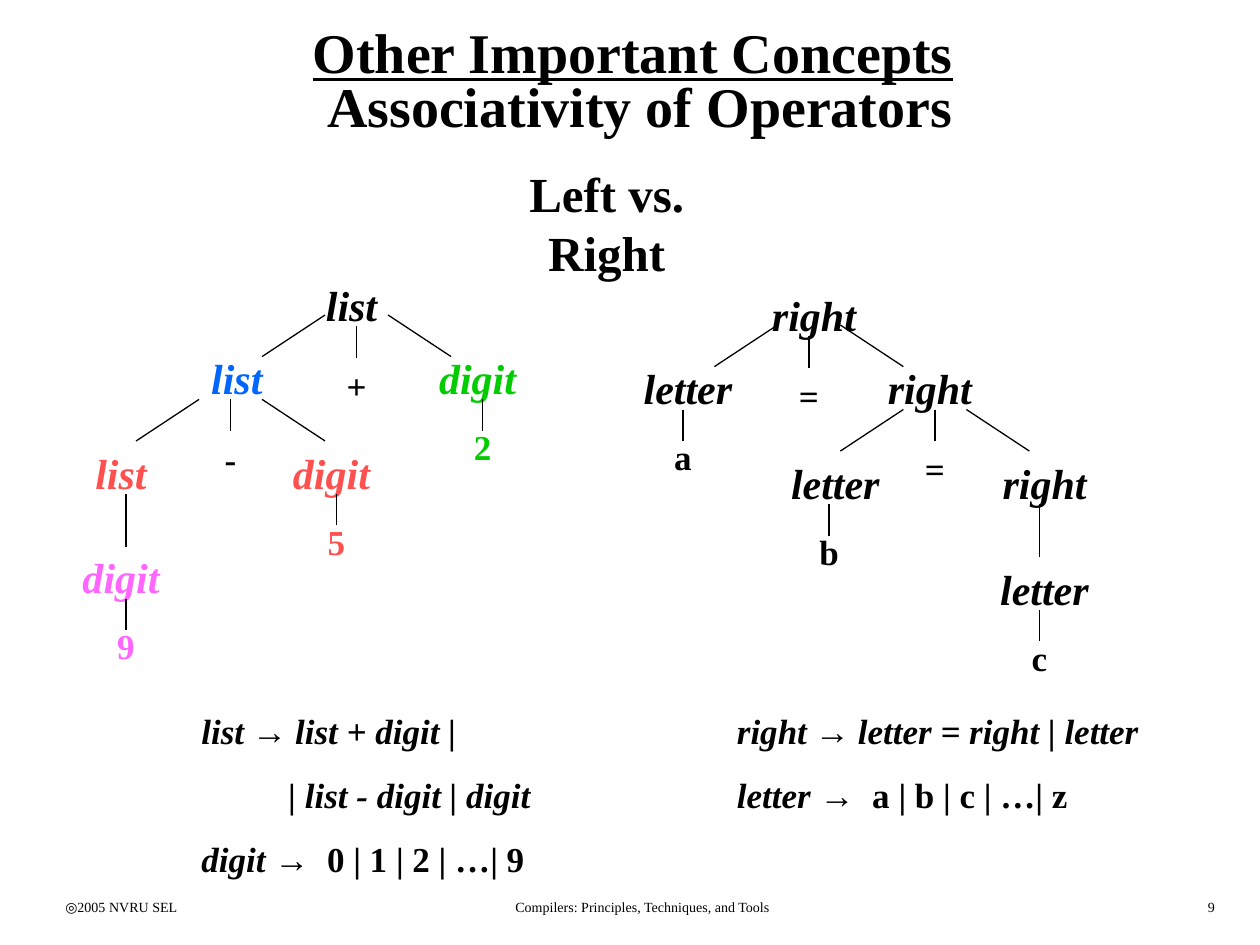
from dataclasses import dataclass
from lxml.etree import SubElement
from pptx import Presentation
from pptx.dml.color import RGBColor
from pptx.enum.shapes import MSO_CONNECTOR
from pptx.enum.text import MSO_ANCHOR, MSO_AUTO_SIZE, PP_ALIGN
from pptx.oxml.ns import qn
from pptx.util import Inches, Pt

SERIF = "Times New Roman"
BLACK, BLUE, GREEN, RED, PINK = "000000", "0066FF", "00CC00", "FF5050", "FF66FF"


@dataclass
class Node:
    """A tree symbol, with offsets from the tree's top left corner."""
    text: str
    left: float
    top: float
    stem: float
    colour: str = BLACK
    operator: str = ""
    leaf: str = ""
    slant: float = 0.42


LEFT_TREE = [
    Node("list", 1.83, 0, 2.33, operator="+", slant=0.33),
    Node("list", 0.92, 0.58, 1.33, BLUE, operator="-"),
    Node("digit", 2.83, 0.58, 3.33, GREEN, leaf="2"),
    Node("list", 0, 1.33, 0.5, RED),
    Node("digit", 1.67, 1.33, 2.17, RED, leaf="5"),
    Node("digit", 0, 2.16, 0.5, PINK, leaf="9"),
]
RIGHT_TREE = [
    Node("right", 1, 0, 1.42, operator="=", slant=0.33),
    Node("letter", 0, 0.58, 0.42, leaf="a"),
    Node("right", 1.92, 0.58, 2.42, operator="="),
    Node("letter", 1.17, 1.33, 1.58, leaf="b"),
    Node("right", 2.83, 1.33, 3.25),
    Node("letter", 2.83, 2.17, 3.25, leaf="c"),
]


def paint(colour_format, colour):
    """Apply a hex colour to a font colour or a line colour."""
    colour_format.rgb = RGBColor.from_string(colour)


def add_span(para, text, size, colour=BLACK, bold=True, italic=False,
             underline=False, font=SERIF):
    """Append one formatted run to a paragraph."""
    span = para.add_run()
    span.text = text
    span.font.name = font
    span.font.size = Pt(size)
    span.font.bold = bold
    span.font.italic = italic
    span.font.underline = underline
    paint(span.font.color, colour)


def add_box(shapes, left, top, width, height, align=PP_ALIGN.CENTER,
            wrap=True, grow=True):
    """Add an empty text box and return its frame."""
    box = shapes.add_textbox(Inches(left), Inches(top), Inches(width), Inches(height))
    frame = box.text_frame
    frame.word_wrap = wrap
    frame.auto_size = MSO_AUTO_SIZE.SHAPE_TO_FIT_TEXT if grow else MSO_AUTO_SIZE.NONE
    frame.paragraphs[0].alignment = align
    return frame


def add_line(shapes, x1, y1, x2, y2):
    """Add a thin straight branch of a tree."""
    line = shapes.add_connector(MSO_CONNECTOR.STRAIGHT, Inches(x1), Inches(y1),
                                Inches(x2), Inches(y2))
    line.line.width = Pt(0.75)
    paint(line.line.color, BLACK)
    SubElement(line._element.spPr, qn("a:effectLst"))


def add_label(shapes, text, left, top, width, height, size, colour, italic):
    """Add a centred label of a tree."""
    para = add_box(shapes, left, top, width, height).paragraphs[0]
    para.space_before = Pt(size * 0.625)
    add_span(para, text, size, colour, italic=italic)


def add_node(shapes, node, left, top):
    """Draw a tree symbol with the branches and terminal below it."""
    x, y = left + node.stem, top + node.top
    add_label(shapes, node.text, left + node.left, y, 0.92, 0.5, 24, node.colour, True)
    length = 0.25 if node.operator or node.leaf else 0.42
    add_line(shapes, x, y + 0.42, x, y + 0.42 + length)
    if node.leaf:
        add_label(shapes, node.leaf, x - 0.25, y + 0.58, 0.5, 0.44, 20, node.colour, False)
    if node.operator:
        add_label(shapes, node.operator, x - 0.25, y + 0.67, 0.5, 0.44, 20, BLACK, False)
        for side in (-1, 1):
            add_line(shapes, x + side * 0.25, y + node.slant,
                     x + side * 0.75, y + node.slant + 0.33)


def add_tree(page, nodes, left, top):
    """Draw a parse tree as one group."""
    group = page.shapes.add_group_shape()
    for node in nodes:
        add_node(group.shapes, node, left, top)


def add_rule(para, head, body, italic, gap_size=20):
    """Write one production: head, arrow and body."""
    para.space_before = Pt(12.5)
    add_span(para, head, 20, italic=True)
    add_span(para, " ", gap_size, italic=gap_size == 20)
    add_span(para, "→", 20, font="Arial")
    add_span(para, " " if italic else "  ", gap_size)
    add_span(para, body, 20, italic=italic)


def add_grammar(page, first, last, left, top, width, height, alternative=""):
    """Write a grammar of two productions, with an optional alternative between."""
    frame = add_box(page.shapes, left, top, width, height, PP_ALIGN.LEFT)
    add_rule(frame.paragraphs[0], *first, italic=True, gap_size=18)
    if alternative:
        para = frame.add_paragraph()
        para.space_before = Pt(12.5)
        para._p.get_or_add_pPr().set("marL", str(Inches(0.69)))
        add_span(para, alternative, 20, italic=True)
    add_rule(frame.add_paragraph(), *last, italic=False)


def add_heading(page, left, top, width, height):
    """Fill the title placeholder with its two lines."""
    title = page.shapes.title
    title.left, title.top = Inches(left), Inches(top)
    title.width, title.height = Inches(width), Inches(height)
    frame = title.text_frame
    frame.auto_size = MSO_AUTO_SIZE.NONE
    frame.vertical_anchor = MSO_ANCHOR.MIDDLE
    para = frame.paragraphs[0]
    para.alignment = PP_ALIGN.CENTER
    para.line_spacing = 0.8
    add_span(para, "Other Important Concepts", 32, underline=True)
    add_span(para, " ", 32)
    para.add_line_break()
    add_span(para, "Associativity of Operators", 32)


def add_footer(page, top, height):
    """Write the three footer texts on one line."""
    for text, left, width, align in (
        ("◎2005 NVRU SEL", 0.42, 2.07, PP_ALIGN.LEFT),
        ("Compilers: Principles, Techniques, and Tools ", 3.25, 3.73, PP_ALIGN.CENTER),
        ("9", 7.67, 2.07, PP_ALIGN.RIGHT),
    ):
        frame = add_box(page.shapes, left, top, width, height, align, grow=False)
        add_span(frame.paragraphs[0], text, 8, bold=False)


def main():
    """Build the slide and save the deck."""
    deck = Presentation()
    deck.slide_width, deck.slide_height = Inches(10), Inches(7.5)
    page = deck.slides.add_slide(deck.slide_layouts[5])
    add_heading(page, 0.58, 0.17, 9, 1)
    subtitle = add_box(page.shapes, 3.59, 1.25, 2.45, 0.57, wrap=False)
    add_span(subtitle.paragraphs[0], "Left vs. Right", 28)
    add_tree(page, RIGHT_TREE, 5, 2.25)
    add_grammar(page, ("right", "letter = right | letter"),
                ("letter", "a | b | c | …| z"), 5.75, 5.58, 3.42, 0.94)
    add_tree(page, LEFT_TREE, 0.5, 2.17)
    add_grammar(page, ("list", "list + digit |"), ("digit", "0 | 1 | 2 | …| 9"),
                1.5, 5.58, 3.42, 1.45, "| list - digit | digit")
    add_footer(page, 7.08, 0.25)
    deck.save("out.pptx")


if __name__ == "__main__":
    main()
